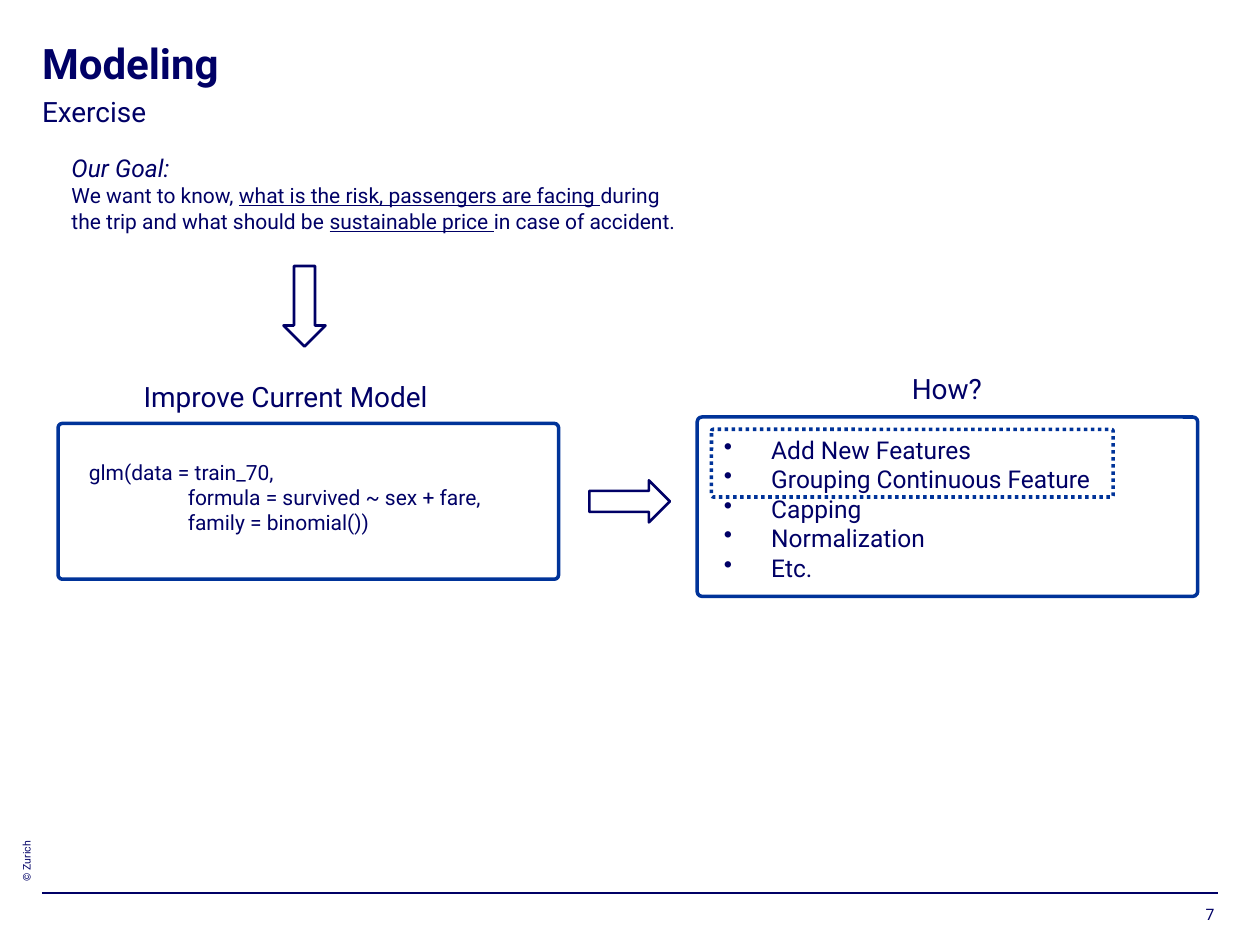
import pptx
import pptx.util
import pptx.dml.color
import pptx.enum.dml
import pptx.enum.shapes
import pptx.enum.text
import pptx.oxml.ns
from dataclasses import dataclass
from lxml import etree

Pt = pptx.util.Pt
Align = pptx.enum.text.PP_ALIGN
Preset = pptx.enum.shapes.MSO_SHAPE


@dataclass(frozen=True)
class Theme:
    font: str = "Roboto"
    navy: str = "000066"
    blue: str = "003399"
    title: int = 24
    heading: int = 16
    lead: int = 14
    body: int = 12
    page_number: int = 9
    fine: int = 6


theme = Theme()
deck = pptx.Presentation()
deck.slide_width, deck.slide_height = Pt(720), Pt(540)
page = deck.slides.add_slide(deck.slide_layouts[6])


def add_text(paragraphs, left, top, width, height, size=theme.body, inset=True,
             bold=False, align=Align.LEFT, bullet=None, spacing=None, wrap=True):
    """Each paragraph is a string or a list of (text, format) spans."""
    box = page.shapes.add_textbox(Pt(left), Pt(top), Pt(width), Pt(height))
    frame = box.text_frame
    frame.word_wrap = wrap
    if not inset:
        frame.margin_left = frame.margin_right = 0
        frame.margin_top = frame.margin_bottom = 0
    for index, spans in enumerate(paragraphs):
        para = frame.paragraphs[0] if index == 0 else frame.add_paragraph()
        para.alignment = align
        if spacing:
            para.line_spacing = spacing
        if bullet:
            properties = para._p.get_or_add_pPr()
            properties.set("marL", str(Pt(27)))
            properties.set("indent", str(-Pt(27)))
            etree.SubElement(properties, pptx.oxml.ns.qn("a:buChar"), char=bullet)
        for text, style in [(spans, {})] if isinstance(spans, str) else spans:
            span = para.add_run()
            span.text = text
            span.font.name = theme.font
            span.font.size = Pt(style.get("size", size))
            span.font.bold = bold
            span.font.italic = style.get("italic", False)
            span.font.underline = style.get("underline", False)
            span.font.color.rgb = pptx.dml.color.RGBColor.from_string(theme.navy)
    return box


def add_outline(preset, left, top, width, height, color, weight):
    shape = page.shapes.add_shape(preset, Pt(left), Pt(top), Pt(width), Pt(height))
    shape.shadow.inherit = False
    shape.fill.background()
    shape.line.color.rgb = pptx.dml.color.RGBColor.from_string(color)
    shape.line.width = Pt(weight)
    if preset == Preset.ROUNDED_RECTANGLE:
        shape.adjustments[0] = 0.027
    return shape


# Copyright line, footer rule and page number
copyright_box = add_text(["© Zurich"], 11.5, 479.5, 7.2, 24, size=theme.fine,
                         inset=False, wrap=False)
copyright_box.text_frame._txBody.bodyPr.set("vert", "vert270")
rule = page.shapes.add_connector(pptx.enum.shapes.MSO_CONNECTOR.STRAIGHT,
                                 Pt(24), Pt(510.5), Pt(696), Pt(510.5))
rule.line.color.rgb = pptx.dml.color.RGBColor.from_string(theme.navy)
rule.line.width = Pt(1)
etree.SubElement(rule._element.spPr, pptx.oxml.ns.qn("a:effectLst"))
add_text(["7"], 666, 517, 28, 12, size=theme.page_number, inset=False, align=Align.RIGHT)

# Title and subtitle
add_text(["Modeling"], 24, 24.5, 603, 28, size=theme.title, inset=False,
         bold=True, spacing=0.9)
add_text(["Exercise"], 24, 54, 603, 31, size=theme.heading, inset=False)

# Goal
underlined = {"underline": True}
add_text([
    [("Our Goal:", {"size": theme.lead, "italic": True})],
    [("We want to know, ", {}),
     ("what is the risk, passengers are facing ", underlined),
     ("during the trip and what should be ", {}),
     ("sustainable price ", underlined),
     ("in case of accident.", {})],
], 33.8, 84.2, 360, 67.7)

# Arrows: goal to model, model to methods
for left, top, rotation in [(162, 152, 0), (347.8, 263.5, 270)]:
    arrow = add_outline(Preset.DOWN_ARROW, left, top, 24, 46, theme.navy, 1.5)
    arrow.rotation = rotation

# Current model
add_text(["Improve Current Model"], 75, 213.2, 198, 26.6, size=theme.heading)
add_outline(Preset.ROUNDED_RECTANGLE, 33.2, 242, 286, 89, theme.blue, 2)
add_text([
    "glm(data = train_70,",
    "                   formula = survived ~ sex + fare,",
    "                   family = binomial())",
], 43.7, 259, 270, 51)

# Ways to improve it
add_text(["How?"], 442, 208.8, 198, 26.6, size=theme.heading, align=Align.CENTER)
add_outline(Preset.ROUNDED_RECTANGLE, 398.4, 238.3, 286, 102.5, theme.blue, 2)
add_text(["Add New Features", "Grouping Continuous Feature", "Capping",
          "Normalization", "Etc."],
         406.6, 245, 270, 109, size=theme.lead, bullet="•")
highlight = add_outline(Preset.ROUNDED_RECTANGLE, 406.6, 245.3, 229.5, 38.7, theme.blue, 2)
# ROUND_DOT is stored as sysDot
highlight.line.dash_style = pptx.enum.dml.MSO_LINE.ROUND_DOT

deck.save("out.pptx")
